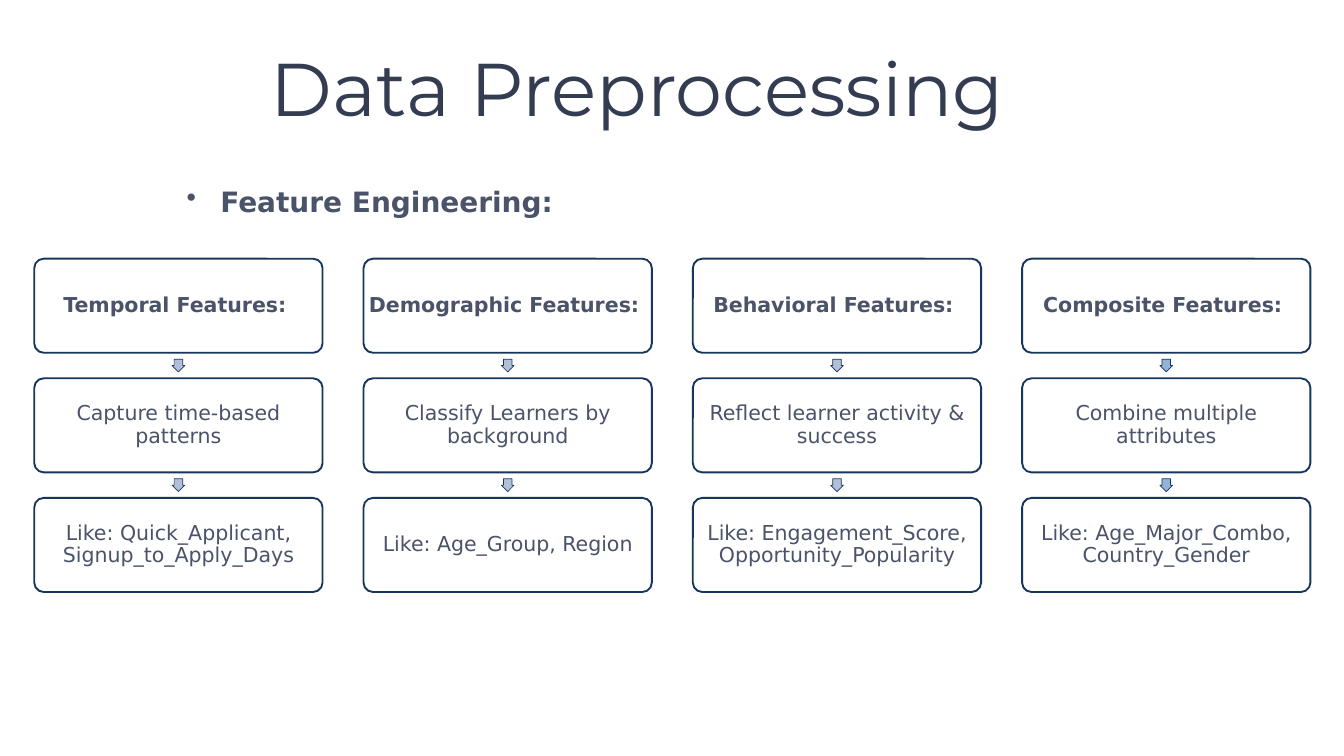
from lxml import etree
from pptx import Presentation
from pptx.dml.color import RGBColor
from pptx.enum.shapes import MSO_SHAPE
from pptx.enum.text import MSO_ANCHOR, PP_ALIGN
from pptx.oxml.ns import qn
from pptx.util import Inches, Pt

ROUND, ARROW = MSO_SHAPE.ROUNDED_RECTANGLE, MSO_SHAPE.RIGHT_ARROW
TOP, MIDDLE = MSO_ANCHOR.TOP, MSO_ANCHOR.MIDDLE
LEFT, CENTER = PP_ALIGN.LEFT, PP_ALIGN.CENTER

TITLE = "Data Preprocessing"
TOPIC = "Feature Engineering:"
COLUMNS = [
    ("B1C0D7", ["Temporal Features: ", "Capture time-based patterns",
                "Like: Quick_Applicant, Signup_to_Apply_Days"]),
    ("B1C0D7", ["Demographic Features: ", "Classify Learners by background",
                "Like: Age_Group, Region"]),
    ("B1C0D7", ["Behavioral Features: ", "Reflect learner activity & success",
                "Like: Engagement_Score, Opportunity_Popularity"]),
    ("93B3D7", ["Composite Features: ", "Combine multiple attributes",
                "Like: Age_Major_Combo, Country_Gender"]),
]

THEME = {
    "head": ("Montserrat", 80, "333C50"),
    "topic": ("DejaVu Sans", 30, "4A5369"),
    "card": ("DejaVu Sans", 22, "4A5369"),
    "fill": "FFFFFF",
    "line": "17365D",
}

X, Y = 0.51, 3.85
WIDE, HIGH = 4.29, 1.4
STEP_X, STEP_Y = 4.9, 1.78
TIP = 0.19


def write(frame, text, style, bold=False, align=LEFT, anchor=TOP, pad=(0, 0, 0, 0)):
    frame.text = text
    frame.word_wrap = True
    frame.vertical_anchor = anchor
    (frame.margin_left, frame.margin_top,
     frame.margin_right, frame.margin_bottom) = map(Inches, pad)
    para = frame.paragraphs[0]
    para.alignment = align
    name, size, color = THEME[style]
    font = para.runs[0].font
    font.name, font.size, font.bold = name, Pt(size), bold
    font.color.rgb = RGBColor.from_string(color)
    return para


def add_shape(slide, kind, box, fill, width):
    shape = slide.shapes.add_shape(kind, *map(Inches, box))
    shape.shadow.inherit = False
    shape.fill.solid()
    shape.fill.fore_color.rgb = RGBColor.from_string(fill)
    shape.line.color.rgb = RGBColor.from_string(THEME["line"])
    shape.line.width = Pt(width)
    return shape


def add_bullet(para):
    props = para._p.get_or_add_pPr()
    props.set("marL", str(Inches(0.51)))
    props.set("indent", str(Inches(-0.5)))
    etree.SubElement(props, qn("a:buChar")).set("char", "•")


def add_card(slide, x, y, text, first):
    card = add_shape(slide, ROUND, (x, y, WIDE, HIGH), THEME["fill"], 2)
    card.adjustments[0] = 0.1
    if not first:
        color = card.fill._xPr.find(".//" + qn("a:srgbClr"))
        etree.SubElement(color, qn("a:alpha")).set("val", "90000")
    para = write(card.text_frame, text, "card", first, CENTER, MIDDLE, (0.03,) * 4)
    para.line_spacing = 0.9


def add_arrow(slide, x, y, fill):
    left = x + (WIDE - TIP) / 2
    top = y + HIGH + (STEP_Y - HIGH - TIP) / 2
    arrow = add_shape(slide, ARROW, (left, top, TIP, TIP), fill, 0.75)
    arrow.rotation = 90
    arrow.adjustments[0], arrow.adjustments[1] = 0.67, 0.5


def main():
    deck = Presentation()
    deck.slide_width, deck.slide_height = Inches(20), Inches(11.25)
    slide = deck.slides.add_slide(deck.slide_layouts[5])

    title = slide.shapes.title
    title.left, title.top, title.width, title.height = map(
        Inches, (4.03, 0.62, 11.94, 1.36))
    write(title.text_frame, TITLE, "head", pad=(0, 0.01, 0, 0))

    topic = slide.shapes.add_textbox(*map(Inches, (2.67, 2.69, 5.94, 0.61)))
    add_bullet(write(topic.text_frame, TOPIC, "topic", True, pad=(0.1, 0.05, 0.1, 0.05)))

    for col, (fill, cards) in enumerate(COLUMNS):
        x = X + col * STEP_X
        for row, text in enumerate(cards):
            y = Y + row * STEP_Y
            add_card(slide, x, y, text, row == 0)
            if row < len(cards) - 1:
                add_arrow(slide, x, y, fill)

    deck.save("out.pptx")


if __name__ == "__main__":
    main()
